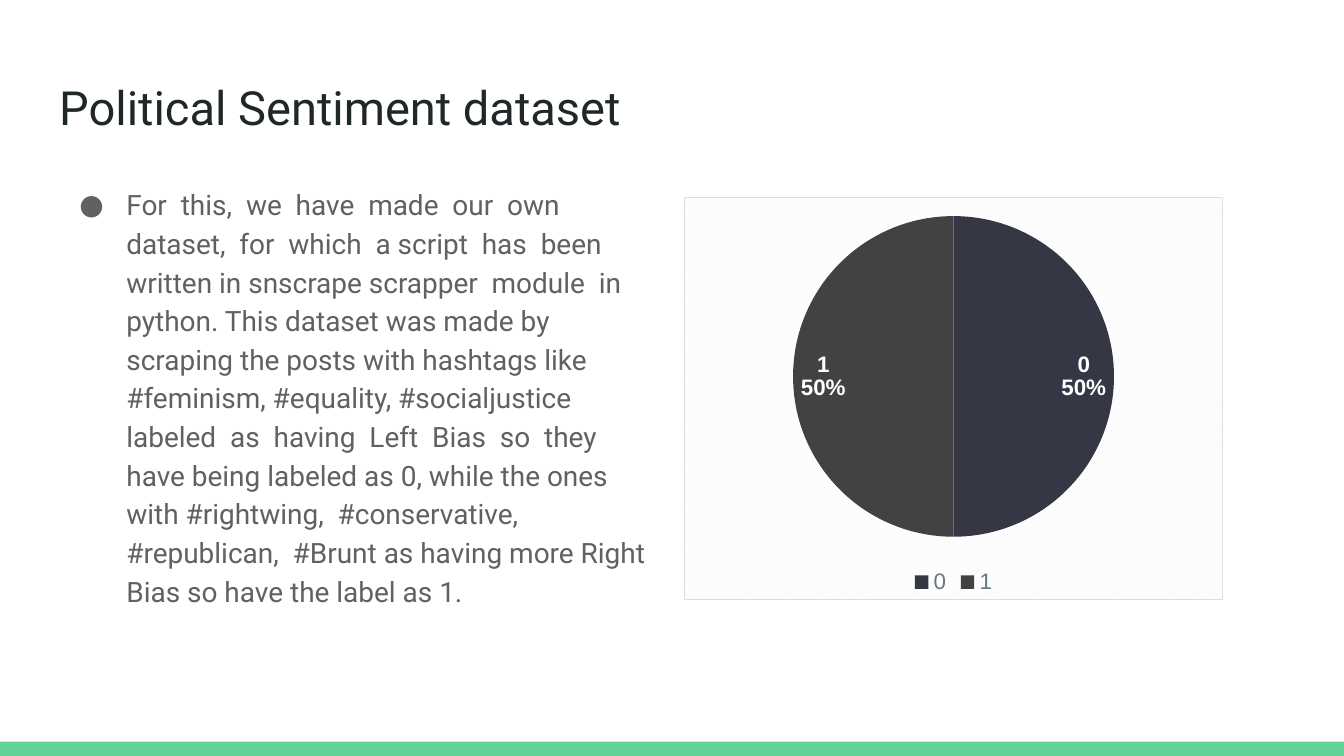
from lxml.etree import SubElement
from pptx import Presentation
from pptx.chart.data import CategoryChartData
from pptx.dml.color import RGBColor
from pptx.enum.chart import XL_CHART_TYPE, XL_LABEL_POSITION, XL_LEGEND_POSITION
from pptx.enum.shapes import MSO_SHAPE
from pptx.enum.text import MSO_ANCHOR, MSO_AUTO_SIZE, PP_ALIGN
from pptx.oxml import parse_xml
from pptx.oxml.ns import nsdecls, qn
from pptx.util import Pt

COLORS = {
    "title": "202729", "body": "616161", "bar": "63D297",
    "left": "353744", "right": "424242", "label": "FFFFFF",
    "legend": "63797F", "border": "DAE0E2", "hatch": "F2F2F2", "paper": "FFFFFF",
}
TITLE = "Political Sentiment dataset"
BODY = (
    "For  this,  we  have  made  our  own  dataset,  for  which  a script  has  been  "
    "written in snscrape scrapper  module  in  python. This dataset was made by "
    "scraping the posts with hashtags like #feminism, #equality, #socialjustice "
    "labeled  as  having  Left  Bias  so  they  have being labeled as 0, while the ones "
    "with #rightwing,  #conservative,  #republican,  #Brunt as having more "
    "Right Bias so have the label as 1."
)


def rgb(name):
    return RGBColor.from_string(COLORS[name])


def format_font(font, size, color, name="Roboto", bold=False):
    font.size, font.name, font.bold = Pt(size), name, bold
    font.color.rgb = rgb(color)


def add_bullet(p, color, indent, hanging):
    pPr = p._p.get_or_add_pPr()
    pPr.set("marL", str(Pt(indent)))
    pPr.set("indent", str(-Pt(hanging)))
    clr = SubElement(pPr, qn("a:buClr"))
    SubElement(clr, qn("a:srgbClr")).set("val", COLORS[color])
    SubElement(pPr, qn("a:buFont")).set("typeface", "Roboto")
    SubElement(pPr, qn("a:buChar")).set("char", "●")


def fill_text(sp, text, box, size, color, spacing=1.0, bullet=False):
    sp.left, sp.top, sp.width, sp.height = map(Pt, box)
    tf = sp.text_frame
    tf.word_wrap = True
    tf.auto_size = MSO_AUTO_SIZE.NONE
    tf.vertical_anchor = MSO_ANCHOR.TOP
    tf.margin_left = tf.margin_right = tf.margin_top = tf.margin_bottom = Pt(7.2)
    p = tf.paragraphs[0]
    p.alignment = PP_ALIGN.LEFT
    p.line_spacing = spacing
    p.space_before = Pt(0)
    if bullet:
        add_bullet(p, color, indent=36, hanging=25.2)
    r = p.add_run()
    r.text = text
    format_font(r.font, size, color)


def add_bar(s, box, color):
    sp = s.shapes.add_shape(MSO_SHAPE.RECTANGLE, *map(Pt, box))
    sp.shadow.inherit = False
    sp.fill.solid()
    sp.fill.fore_color.rgb = rgb(color)
    sp.line.fill.background()


def style_chart_area(chart):
    """Give the chart area a hatched fill and a thin border."""
    chart._chartSpace.find(qn("c:chart")).addnext(parse_xml(
        f'<c:spPr {nsdecls("c", "a")}><a:pattFill prst="dkDnDiag">'
        f'<a:fgClr><a:srgbClr val="{COLORS["hatch"]}"/></a:fgClr>'
        f'<a:bgClr><a:srgbClr val="{COLORS["paper"]}"/></a:bgClr></a:pattFill>'
        f'<a:ln w="{Pt(0.75)}"><a:solidFill><a:srgbClr val="{COLORS["border"]}"/>'
        '</a:solidFill></a:ln></c:spPr>'))


def add_pie(s, box, slices):
    data = CategoryChartData()
    data.categories = [label for label, _, _ in slices]
    data.add_series("Series 1", [value for _, value, _ in slices])
    chart = s.shapes.add_chart(XL_CHART_TYPE.PIE, *map(Pt, box), data).chart
    chart.has_title = False
    format_font(chart.font, 10, "title", "Arial")
    style_chart_area(chart)

    # Legend
    chart.has_legend = True
    chart.legend.position = XL_LEGEND_POSITION.BOTTOM
    chart.legend.include_in_layout = False
    format_font(chart.legend.font, 12, "legend", "Arial")

    # Slices and their labels
    plot = chart.plots[0]
    plot.vary_by_categories = True
    for i, (_, _, color) in enumerate(slices):
        fmt = plot.series[0].points[i].format
        fmt.fill.solid()
        fmt.fill.fore_color.rgb = rgb(color)
        fmt.line.fill.background()
    labels = plot.series[0].data_labels
    labels.show_value = False
    labels.show_category_name = labels.show_percentage = True
    labels.position = XL_LABEL_POSITION.INSIDE_END
    format_font(labels.font, 12, "label", "Arial", bold=True)


def main():
    prs = Presentation()
    prs.slide_width, prs.slide_height = Pt(720), Pt(405)
    s = prs.slides.add_slide(prs.slide_layouts[1])

    # Bottom band
    add_bar(s, (0, 397.4, 720, 7.6), "bar")

    # Title and description
    fill_text(s.shapes.title, TITLE, (24.5, 35, 671, 45.4), 25.2, "title")
    fill_text(s.placeholders[1], BODY, (24.5, 90.7, 335.5, 269.3), 15, "body",
              spacing=1.15, bullet=True)

    # Share of each label
    add_pie(s, (366.5, 105.5, 288.7, 216), [("0", 50, "left"), ("1", 50, "right")])
    prs.save("out.pptx")


if __name__ == "__main__":
    main()
